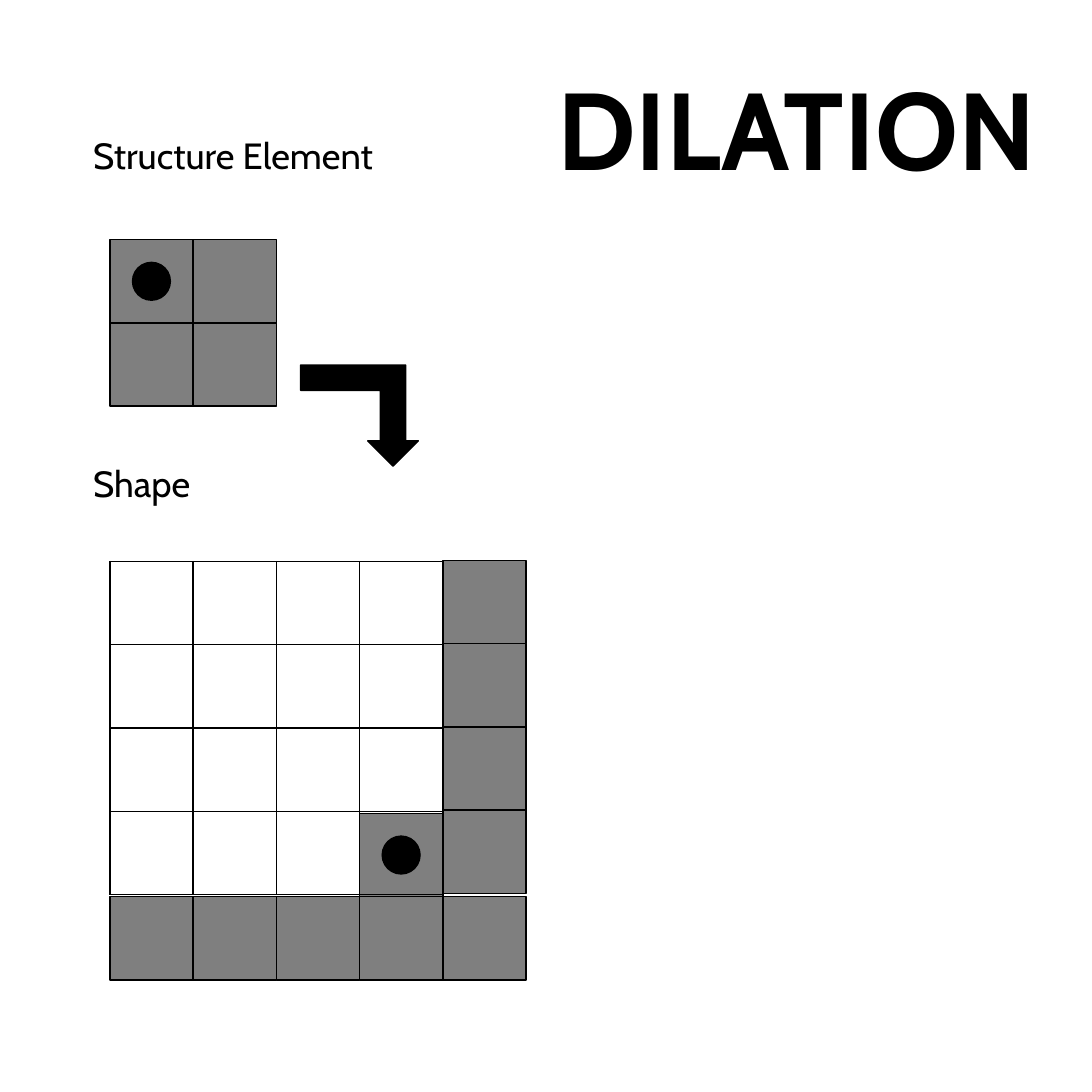
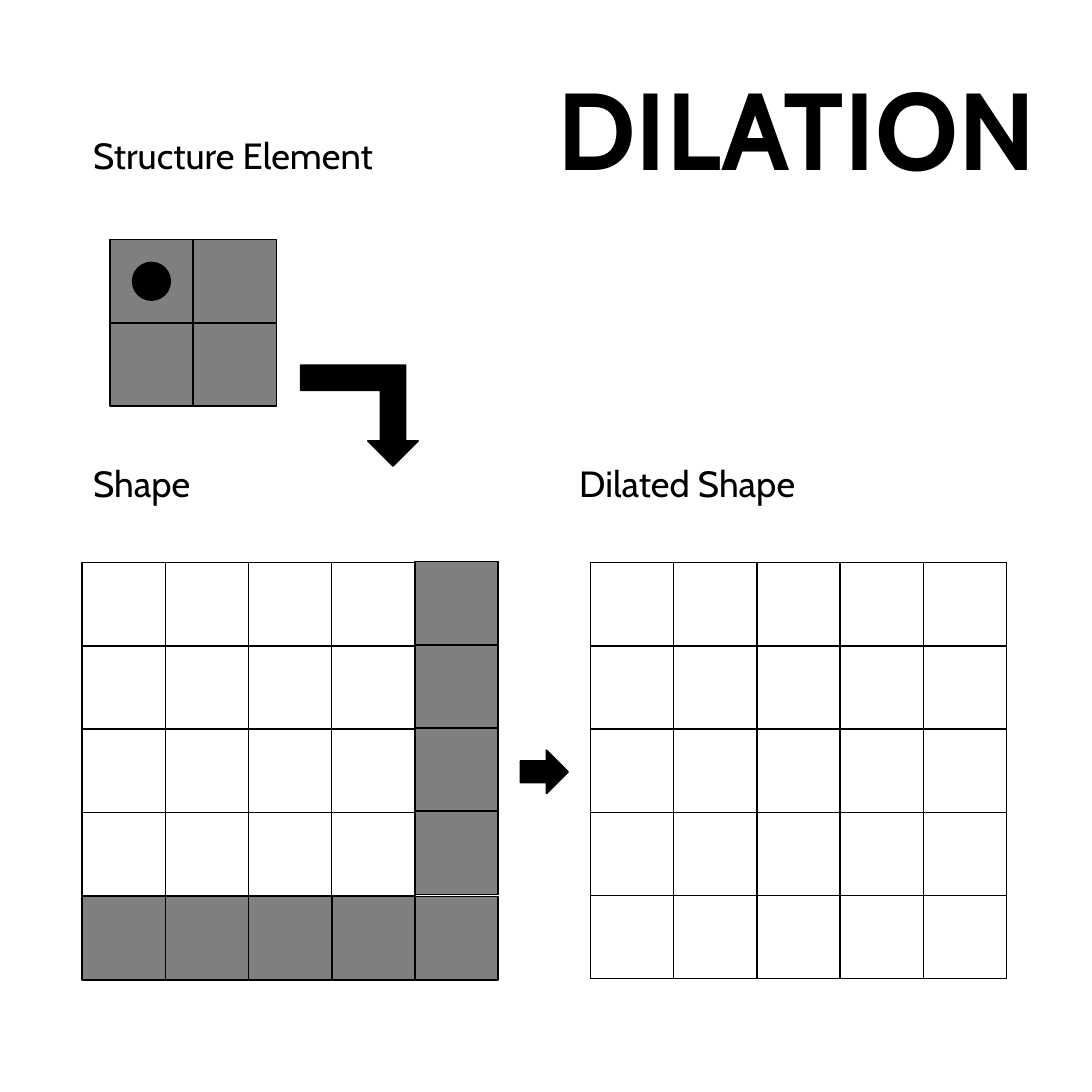
from lxml import etree
from pptx import Presentation
from pptx.dml.color import RGBColor
from pptx.enum.shapes import MSO_SHAPE
from pptx.enum.text import MSO_ANCHOR, MSO_AUTO_SIZE, PP_ALIGN
from pptx.oxml.ns import qn
from pptx.util import Inches, Pt

RECT, DOT = MSO_SHAPE.RECTANGLE, MSO_SHAPE.OVAL
BENT, RIGHT = MSO_SHAPE.BENT_UP_ARROW, MSO_SHAPE.RIGHT_ARROW
TOP, LEFT = MSO_ANCHOR.TOP, PP_ALIGN.LEFT
FIT = MSO_AUTO_SIZE.SHAPE_TO_FIT_TEXT

BLACK = RGBColor(0x00, 0x00, 0x00)
FONT = "Cabin"
LINE = Pt(1)

CELL = 0.75          # side of one pixel square
DOT_SIZE = 0.34
BOTTOM = 8.08        # top of the grey row under the shape
LABEL_TOP, LABEL_X = 4.11, 0.74


class Deck:
    """Holds the shared style and the current slide."""

    def __init__(self):
        self.prs = Presentation()
        self.prs.slide_width = self.prs.slide_height = Inches(9.84)
        self.slide = None

    def new_slide(self, title):
        self.slide = self.prs.slides.add_slide(self.prs.slide_layouts[5])
        s = self.slide.shapes.title
        s.left, s.top = Inches(4.92), Inches(0.5)
        s.width, s.height = Inches(4.55), Inches(1.29)
        self.text(s, title, 70.9, True)

    def text(self, s, words, size, bold=False):
        tf = s.text_frame
        tf.text = words
        tf.word_wrap = True
        tf.auto_size = FIT
        tf.vertical_anchor = TOP
        p = tf.paragraphs[0]
        p.alignment = LEFT
        font = p.runs[0].font
        font.name, font.size, font.bold = FONT, Pt(size), bold
        font.color.rgb = BLACK

    def label(self, words, x, y):
        s = self.slide.shapes.add_textbox(
            Inches(x), Inches(y), Inches(3.49), Inches(0.5))
        self.text(s, words, 23.6)

    def shape(self, kind, x, y, w, h, group=None):
        shapes = group.shapes if group else self.slide.shapes
        s = shapes.add_shape(kind, Inches(x), Inches(y), Inches(w), Inches(h))
        s.shadow.inherit = False
        s.fill.solid()
        s.fill.fore_color.rgb = BLACK
        s.line.color.rgb = BLACK
        s.line.width = LINE
        return s

    def tiles(self, places, dot_at=None):
        """Half-transparent squares in one group, one of them with a dot."""
        group = self.slide.shapes.add_group_shape()
        for x, y in places:
            s = self.shape(RECT, x, y, CELL, CELL, group)
            clr = s.element.spPr.find(qn("a:solidFill"))[0]
            etree.SubElement(clr, qn("a:alpha")).set("val", "50000")
        if dot_at:
            gap = (CELL - DOT_SIZE) / 2
            x, y = dot_at
            self.shape(DOT, x + gap, y + gap, DOT_SIZE, DOT_SIZE, group)

    def grid(self, x, y, n):
        """An empty table of n by n squares with black borders."""
        side = Inches(n * CELL)
        table = self.slide.shapes.add_table(
            n, n, Inches(x), Inches(y), side, side).table
        table.first_row = table.horz_banding = False
        for line in (*table.rows, *table.columns):
            if line in table.rows:
                line.height = Inches(CELL)
            else:
                line.width = Inches(CELL)
        for cell in table.iter_cells():
            self.borders(cell)
            cell.fill.background()

    def borders(self, cell):
        tcPr = cell._tc.get_or_add_tcPr()
        for edge in ("a:lnL", "a:lnR", "a:lnT", "a:lnB"):
            ln = etree.SubElement(tcPr, qn(edge))
            ln.set("w", str(int(LINE)))
            fill = etree.SubElement(ln, qn("a:solidFill"))
            etree.SubElement(fill, qn("a:srgbClr")).set("val", str(BLACK))

    def bent_arrow(self):
        s = self.shape(BENT, 2.71, 3.29, 1.06, 0.91)
        s.element.spPr.find(qn("a:xfrm")).set("flipV", "1")

    def dilation(self, x, y):
        """The parts both slides share, with the shape's grid at x, y."""
        self.new_slide("DILATION")
        self.grid(x, y, 4)
        self.label("Structure Element", LABEL_X, 1.15)
        self.label("Shape", LABEL_X, LABEL_TOP)
        self.bent_arrow()

        # Structure element, two by two
        ex, ey = 0.99, 2.16
        self.tiles([(ex + c * CELL, ey + r * CELL)
                    for r in range(2) for c in range(2)], (ex, ey))

        # Grey column on the right and grey row below
        self.tiles([(x + 4 * CELL, y - 0.01 + r * CELL) for r in range(4)])
        self.tiles([(x + c * CELL, BOTTOM) for c in range(5)])


def main():
    d = Deck()

    # Slide 1: structure element placed on the last white square
    x = 0.99
    d.dilation(x, 5.06)
    spot = (x + 3 * CELL, BOTTOM - CELL)
    d.tiles([spot], spot)

    # Slide 2: the shape and the empty result
    d.dilation(0.74, 5.07)
    d.shape(RIGHT, 4.69, 6.76, 0.43, 0.39)
    d.grid(5.32, 5.07, 5)
    d.label("Dilated Shape", 5.12, LABEL_TOP)

    d.prs.save("out.pptx")


if __name__ == "__main__":
    main()
